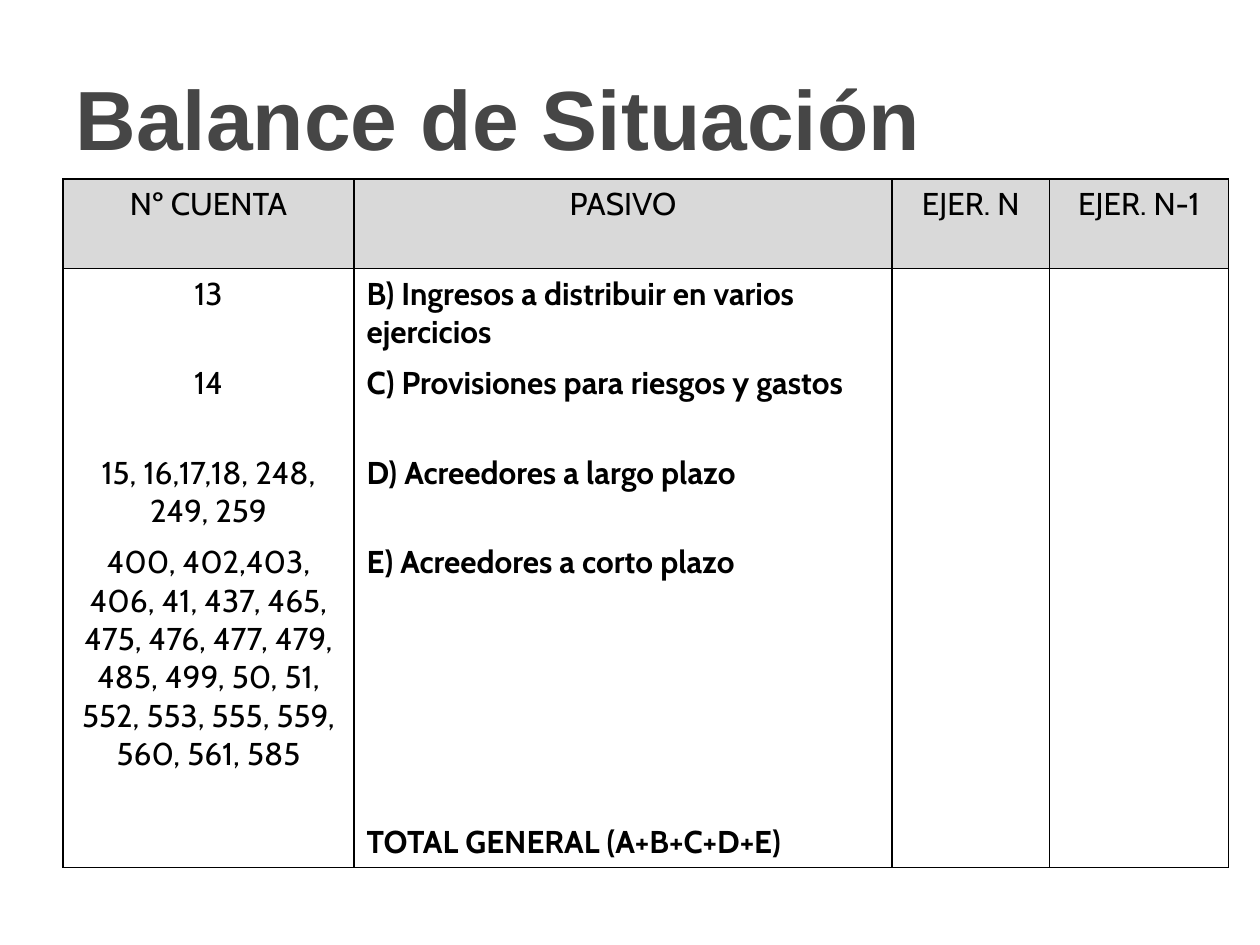
"""Build the liabilities side of a balance sheet as a table slide."""
from lxml import etree
from pptx import Presentation
from pptx.dml.color import RGBColor
from pptx.enum import text
from pptx.oxml import ns
from pptx.util import Inches, Pt

BLACK = RGBColor(0x00, 0x00, 0x00)
TITLE_GREY = RGBColor(0x46, 0x46, 0x46)
HEADER_GREY = RGBColor(0xD9, 0xD9, 0xD9)

COLUMN_WIDTHS = [2.31, 4.27, 1.25, 1.42]
ROW_HEIGHTS = [0.71, 0.71, 0.71, 0.71, 2.22, 0.4]
ROWS = [
    ["Nº CUENTA", "PASIVO", "EJER. N", "EJER. N-1"],
    ["13", "B) Ingresos a distribuir en varios ejercicios", "", ""],
    ["14", "C) Provisiones para riesgos y gastos", "", ""],
    ["15, 16,17,18, 248, 249, 259", "D) Acreedores a largo plazo", "", ""],
    ["400, 402,403, 406, 41, 437, 465, 475, 476, 477, 479, 485, 499, 50, 51, "
     "552, 553, 555, 559, 560, 561, 585", "E) Acreedores a corto plazo", "", ""],
    ["", "TOTAL GENERAL (A+B+C+D+E)", "", ""],
]


def add_run(paragraph, wording, font_name, size, color, bold):
    run = paragraph.add_run()
    run.text = wording
    run.font.name = font_name
    run.font.size = Pt(size)
    run.font.color.rgb = color
    run.font.bold = bold


def set_borders(cell, visible_sides):
    properties = cell._tc.get_or_add_tcPr()
    for side in "LRTB":
        line = etree.SubElement(properties, ns.qn(f"a:ln{side}"), w=str(Pt(1)))
        if side in visible_sides:
            solid = etree.SubElement(line, ns.qn("a:solidFill"))
            etree.SubElement(solid, ns.qn("a:srgbClr"), val=str(BLACK))
        else:
            etree.SubElement(line, ns.qn("a:noFill"))


deck = Presentation()
deck.slide_width, deck.slide_height = Inches(10), Inches(7.5)
slide = deck.slides.add_slide(deck.slide_layouts[5])

heading = slide.shapes.title
heading.left, heading.top = Inches(0.5), Inches(0.3)
heading.width, heading.height = Inches(9), Inches(1.25)
heading.text_frame.vertical_anchor = text.MSO_ANCHOR.MIDDLE
heading_line = heading.text_frame.paragraphs[0]
heading_line.alignment = text.PP_ALIGN.LEFT
indents = heading_line._p.get_or_add_pPr()
indents.set("marL", str(Inches(0.38)))
indents.set("indent", str(Inches(-0.38)))
add_run(heading_line, "Balance de Situación", "Arial", 48, TITLE_GREY, True)

balance = slide.shapes.add_table(
    len(ROWS), len(COLUMN_WIDTHS), Inches(0.5), Inches(1.42),
    Inches(sum(COLUMN_WIDTHS)), Inches(sum(ROW_HEIGHTS))).table
balance.first_row = False
balance.horz_banding = False
for column, width in zip(balance.columns, COLUMN_WIDTHS):
    column.width = Inches(width)
for row, height in zip(balance.rows, ROW_HEIGHTS):
    row.height = Inches(height)

last_row = len(ROWS) - 1
for r, entries in enumerate(ROWS):
    is_header = r == 0
    sides = "LR" + ("T" if r <= 1 else "") + ("B" if r in (0, last_row) else "")
    for c, entry in enumerate(entries):
        cell = balance.cell(r, c)
        set_borders(cell, sides)
        if is_header:
            cell.fill.solid()
            cell.fill.fore_color.rgb = HEADER_GREY
        else:
            cell.fill.background()
        if entry:
            is_item = c == 1 and not is_header
            paragraph = cell.text_frame.paragraphs[0]
            paragraph.alignment = text.PP_ALIGN.LEFT if is_item else text.PP_ALIGN.CENTER
            add_run(paragraph, entry, "Cabin", 18, BLACK, is_item)

deck.save("out.pptx")
